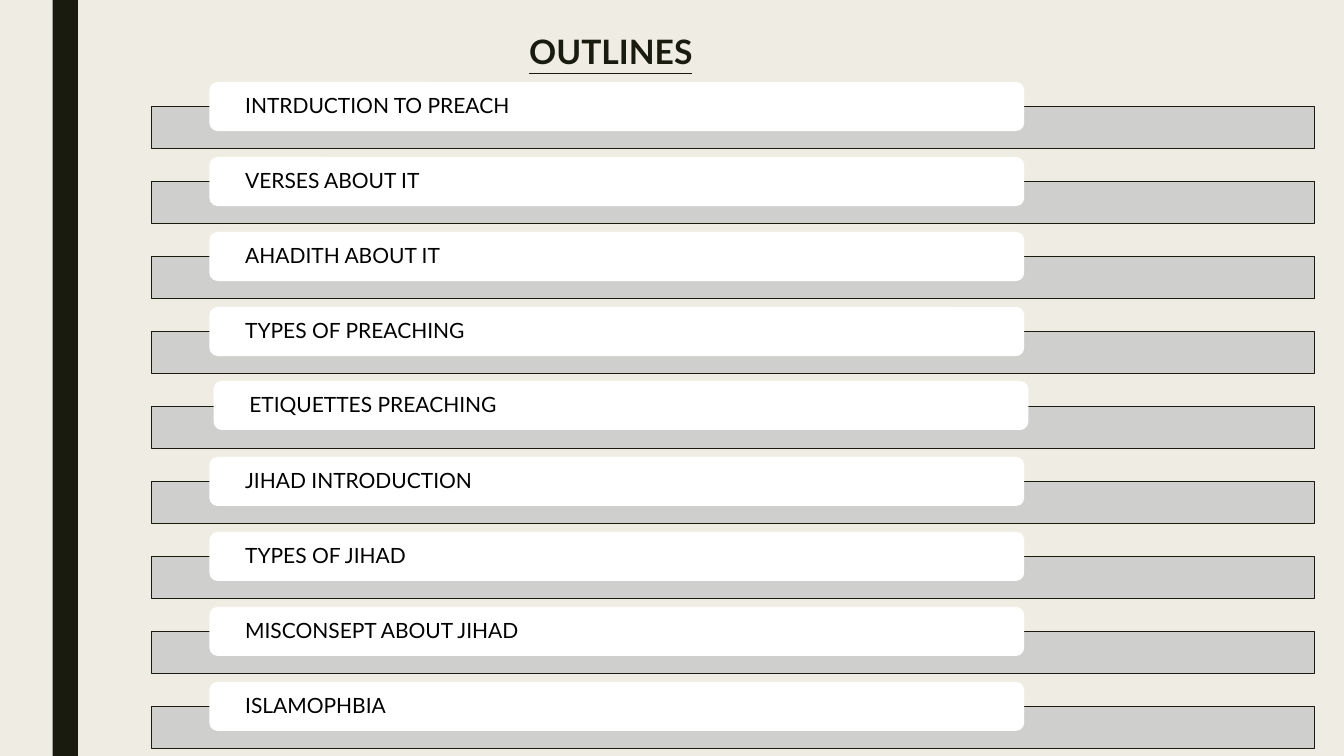
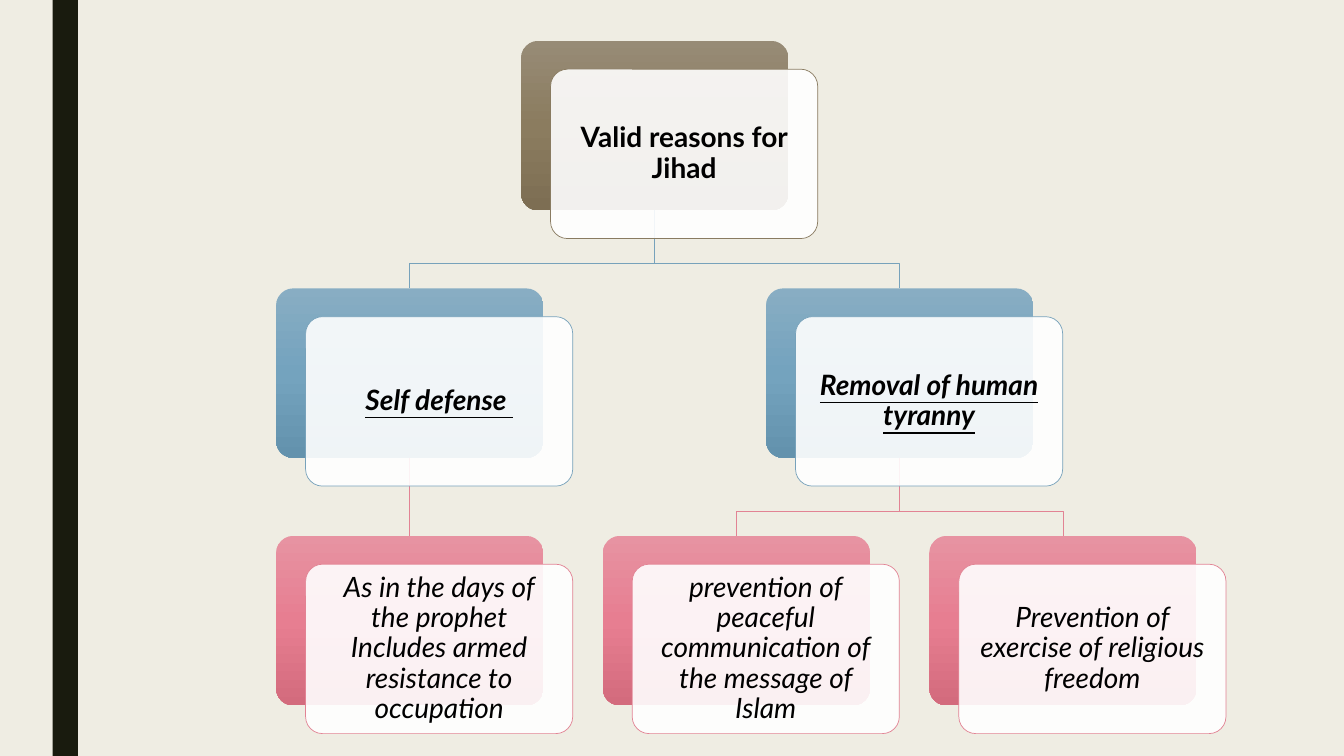
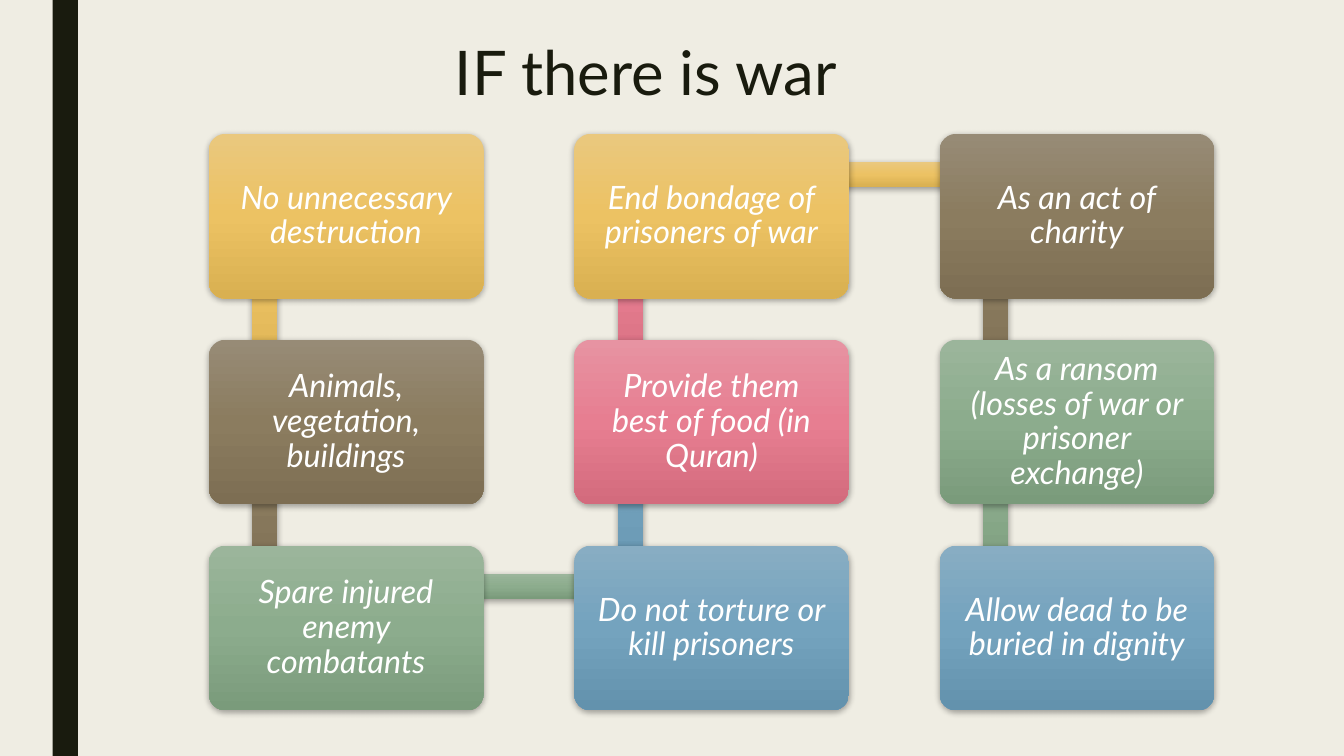
from copy import deepcopy

from pptx import Presentation
from pptx.dml.color import RGBColor
from pptx.enum.shapes import MSO_CONNECTOR, MSO_SHAPE
from pptx.enum.text import MSO_ANCHOR, PP_ALIGN
from pptx.oxml import parse_xml
from pptx.oxml.ns import nsdecls, qn
from pptx.util import Pt

RECT, ROUND = MSO_SHAPE.RECTANGLE, MSO_SHAPE.ROUNDED_RECTANGLE
LEFT, CENTER = PP_ALIGN.LEFT, PP_ALIGN.CENTER
MIDDLE = MSO_ANCHOR.MIDDLE
STRAIGHT = MSO_CONNECTOR.STRAIGHT

THEME = {
    "font": "Lato",
    "page": "EFEDE3", "dark": "191B0E", "bar": "CCCDCC",
    "white": "FFFFFF", "black": "000000",
    "gold": ("EAC87E", "ECC263", "D9B051"),
    "brown": ("978B76", "8B7C5F", "7D6E53"),
    "green": ("9BB59B", "8CAC8D", "7A9B7B"),
    "blue": ("88ADC3", "74A3BE", "6392AD"),
    "pink": ("E793A2", "E77E91", "D36B7D"),
    "edge": {"brown": "897B61", "blue": "77A2BB", "pink": "E28394"},
    "hair": Pt(0.5),
    "head": {"size": Pt(24), "bold": True, "underline": True},
    "title": {"size": Pt(44)},
    "item": {"size": Pt(15)},
    "root": {"size": Pt(20), "bold": True},
    "branch": {"size": Pt(20), "bold": True, "italic": True, "underline": True},
    "leaf": {"size": Pt(20), "italic": True},
    "rule": {"size": Pt(23), "italic": True},
}


def draw(slide, kind, place, fill, edge=None, alpha=None, round=None, shade=False):
    shape = slide.shapes.add_shape(kind, *map(Pt, place))
    shape.shadow.inherit = False
    if round is not None:
        shape.adjustments[0] = round
    props = shape._element.spPr
    if isinstance(fill, tuple):
        shape.fill.gradient()
        shape.fill.gradient_angle = 270
        stops = props.find(".//" + qn("a:gsLst"))
        stops.insert(1, deepcopy(stops[0]))
        for stop, spot, tone in zip(shape.fill.gradient_stops, (0, 0.5, 1), fill):
            stop.color.rgb = RGBColor.from_string(tone)
            stop.position = spot
    else:
        shape.fill.solid()
        shape.fill.fore_color.rgb = RGBColor.from_string(fill)
        if alpha:
            tone = props.find(".//" + qn("a:srgbClr"))
            tone.append(parse_xml(f'<a:alpha {nsdecls("a")} val="{alpha * 1000}"/>'))
    if edge:
        shape.line.color.rgb = RGBColor.from_string(edge)
        shape.line.width = THEME["hair"]
    else:
        shape.line.fill.background()
    if shade:
        props.find(qn("a:effectLst")).append(parse_xml(
            f'<a:outerShdw {nsdecls("a")} blurRad="{Pt(4.5)}" dist="{Pt(1.5)}" '
            'dir="5400000" rotWithShape="0"><a:srgbClr val="000000">'
            '<a:alpha val="35000"/></a:srgbClr></a:outerShdw>'))
    return shape


def write(shape, text, style, color, align, side=0, edge=0):
    frame = shape.text_frame
    layout = {"word_wrap": True, "vertical_anchor": MIDDLE,
              "margin_left": Pt(side), "margin_right": Pt(side),
              "margin_top": Pt(edge), "margin_bottom": Pt(edge)}
    for name, value in layout.items():
        setattr(frame, name, value)
    para = frame.paragraphs[0]
    para.alignment = align
    para.line_spacing = 0.9
    run = para.add_run()
    run.text = text
    for name, value in {"name": THEME["font"], **THEME[style]}.items():
        setattr(run.font, name, value)
    run.font.color.rgb = RGBColor.from_string(THEME[color])


deck = Presentation()
deck.slide_width, deck.slide_height = Pt(960), Pt(540)
back = deck.slide_master.background.fill
back.solid()
back.fore_color.rgb = RGBColor.from_string(THEME["page"])

titles = [
    ("OUTLINES", "head", (378, 17, 480, 43)),
    None,
    ("IF there is war", "title", (325, 27, 520, 54)),
]
slides = []
for title in titles:
    slide = deck.slides.add_slide(deck.slide_layouts[6])
    draw(slide, RECT, (37.6, 0, 18, 540), THEME["dark"])
    if title:
        text, style, place = title
        write(slide.shapes.add_textbox(*map(Pt, place)), text, style, "dark", LEFT)
    slides.append(slide)
outline, tree, war = slides

topics = [
    "INTRDUCTION TO PREACH", "VERSES ABOUT IT", "AHADITH ABOUT IT",
    "TYPES OF PREACHING", "ETIQUETTES PREACHING", "JIHAD INTRODUCTION",
    "TYPES OF JIHAD", "MISCONSEPT ABOUT JIHAD", "ISLAMOPHBIA",
]
nudge = {"ETIQUETTES PREACHING": (3, -0.7)}
for row, topic in enumerate(topics):
    y = 76 + 53.56 * row
    dx, dy = nudge.get(topic, (0, 0))
    draw(outline, RECT, (108, y, 831, 30), THEME["bar"], THEME["dark"], 90)
    plate = draw(outline, ROUND, (149.6 + dx, y - 17.4 + dy, 582, 35), THEME["white"])
    write(plate, topic, "item", "black", LEFT, 23.8)

WIDE, HIGH = 190.8, 121
nodes = [
    ("Valid reasons for Jihad", "root", "brown", 0.75, 0, None),
    ("Self defense ", "branch", "blue", 0, 1, 0),
    ("As in the days of the prophet Includes armed resistance to occupation",
     "leaf", "pink", 0, 2, 1),
    ("Removal of human tyranny", "branch", "blue", 1.5, 1, 0),
    ("prevention of peaceful communication of the message of Islam",
     "leaf", "pink", 1, 2, 3),
    ("Prevention of exercise of religious freedom", "leaf", "pink", 2, 2, 3),
]
cards = []
for text, style, hue, col, level, boss in nodes:
    x, y = 197.3 + 233.3 * col, 29.2 + 176.8 * level
    edge = THEME["edge"][hue]
    card = draw(tree, ROUND, (x, y, WIDE, HIGH), THEME[hue], round=0.1)
    plate = draw(tree, ROUND, (x + 21, y + 20.2, WIDE, HIGH),
                 THEME["white"], edge, 90, 0.1)
    write(plate, text, style, "black", CENTER, 9.3, 9.3)
    cards.append(card)
    if boss is None:
        continue
    head = cards[boss]
    start = head.left + head.width // 2, head.top + head.height
    end = card.left + card.width // 2, card.top
    if start[0] == end[0]:
        link = tree.shapes.add_connector(STRAIGHT, *start, *end)
        link.begin_connect(head, 2)
        link.end_connect(card, 0)
        link._element.spPr.append(parse_xml(f'<a:effectLst {nsdecls("a")}/>'))
    else:
        bend = end[1] - Pt(17.8)
        path = tree.shapes.build_freeform(*start)
        path.add_line_segments([(start[0], bend), (end[0], bend), end], close=False)
        link = path.convert_to_shape()
        link.shadow.inherit = False
        link.fill.background()
    link.line.color.rgb = RGBColor.from_string(edge)
    link.line.width = THEME["hair"]
    tree.shapes._spTree.insert(2, link._element)

rules = [
    "No unnecessary destruction", "Animals, vegetation, buildings",
    "Spare injured enemy combatants", "Do not torture or kill prisoners",
    "Provide them best of food (in Quran)", "End bondage of prisoners of war",
    "As an act of charity", "As a ransom (losses of war or prisoner exchange)",
    "Allow dead to be buried in dignity",
]
hues = ["gold", "brown", "green", "blue", "pink"]
spots = []
for step in range(len(rules)):
    col, row = divmod(step, 3)
    if col % 2:
        row = 2 - row
    spots.append((149.2 + 261 * col, 95.6 + 147.1 * row))
THICK = 18
for step, (rule, (x, y)) in enumerate(zip(rules, spots)):
    tone = THEME[hues[step % len(hues)]]
    if step + 1 < len(spots):
        nx, ny = spots[step + 1]
        place = (min(x, nx) + 40 - THICK / 2, min(y, ny) + 29 - THICK / 2,
                 abs(nx - x) + THICK, abs(ny - y) + THICK)
        draw(war, RECT, place, tone, shade=True)
    card = draw(war, ROUND, (x, y, 196.2, 117.6), tone, round=0.1, shade=True)
    write(card, rule, "rule", "white", CENTER, 10.6, 10.6)

deck.save("out.pptx")
